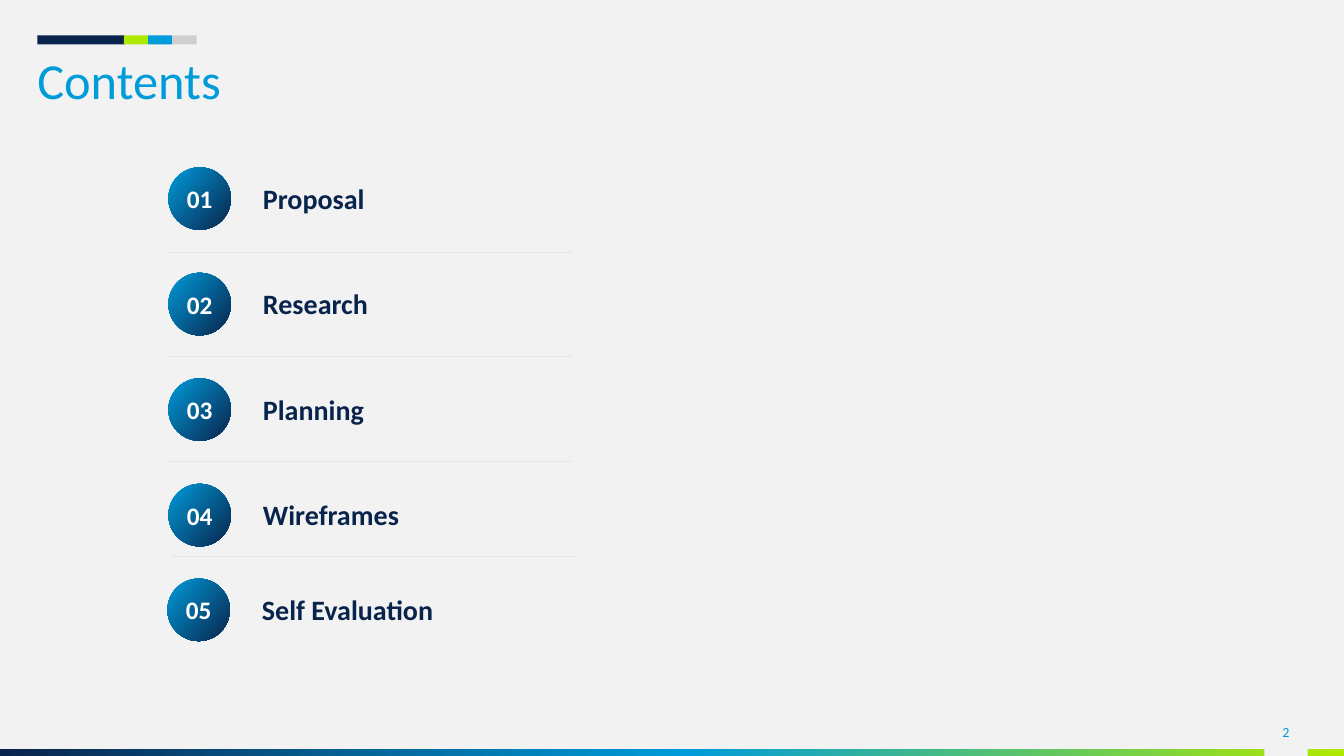
"""Build the contents slide with five numbered sections."""
from lxml.etree import SubElement
from pptx import Presentation
from pptx.dml.color import RGBColor
from pptx.enum.shapes import MSO_CONNECTOR, MSO_SHAPE
from pptx.enum.text import MSO_ANCHOR, PP_ALIGN
from pptx.oxml.ns import qn
from pptx.util import Inches, Pt

COLORS = {
    "navy": "09244C",
    "blue": "009CDA",
    "lime": "B0E900",
    "gray": "D0CECE",
    "rule": "E7E6E6",
    "white": "FFFFFF",
    "paper": "F2F2F2",
}


class ContentsSlide:
    def __init__(self, deck):
        self.font = "Calibri"
        self.page = deck.slides.add_slide(deck.slide_layouts[6])
        background = self.page.background.fill
        background.solid()
        background.fore_color.rgb = self.color("paper")

    def color(self, name):
        return RGBColor.from_string(COLORS[name])

    def shape(self, kind, left, top, width, height):
        shape = self.page.shapes.add_shape(
            kind, Inches(left), Inches(top), Inches(width), Inches(height))
        shape.shadow.inherit = False
        shape.line.fill.background()
        return shape

    def bar(self, left, top, width, height, color):
        bar = self.shape(MSO_SHAPE.RECTANGLE, left, top, width, height)
        bar.fill.solid()
        bar.fill.fore_color.rgb = self.color(color)

    def gradient(self, shape, stops, angle):
        shape.fill.gradient()
        shape.fill.gradient_angle = (360 - angle) % 360
        gradient_fill = shape._element.spPr.find(qn("a:gradFill"))
        stop_list = gradient_fill.find(qn("a:gsLst"))
        for stop in list(stop_list):
            stop_list.remove(stop)
        for position, color in stops:
            stop = SubElement(stop_list, qn("a:gs"), pos=str(position * 1000))
            SubElement(stop, qn("a:srgbClr"), val=COLORS[color])

    def gradient_bar(self, left, top, width, height, stops):
        bar = self.shape(MSO_SHAPE.RECTANGLE, left, top, width, height)
        self.gradient(bar, stops, 0)

    def set_text(self, shape, text, size, color, bold=False,
                 align=PP_ALIGN.LEFT, anchor=MSO_ANCHOR.TOP, inset=True,
                 spacing=1.0):
        frame = shape.text_frame
        frame.text = text
        frame.word_wrap = True
        frame.vertical_anchor = anchor
        if not inset:
            frame.margin_left = frame.margin_right = Inches(0)
            frame.margin_top = frame.margin_bottom = Inches(0)
        paragraph = frame.paragraphs[0]
        paragraph.alignment = align
        paragraph.line_spacing = spacing
        font = paragraph.runs[0].font
        font.name = self.font
        font.size = Pt(size)
        font.bold = bold
        font.color.rgb = self.color(color)

    def label(self, text, left, top, width, height, size, color, **style):
        box = self.page.shapes.add_textbox(
            Inches(left), Inches(top), Inches(width), Inches(height))
        self.set_text(box, text, size, color, **style)

    def badge(self, number, left, top):
        badge = self.shape(MSO_SHAPE.OVAL, left, top, 0.62, 0.62)
        self.gradient(badge, [(0, "blue"), (100, "navy")], 40)
        self.set_text(badge, f"{number:02d}", 18, "white", bold=True,
                      align=PP_ALIGN.CENTER, anchor=MSO_ANCHOR.MIDDLE,
                      inset=False)

    def divider(self, left, top):
        line = self.page.shapes.add_connector(
            MSO_CONNECTOR.STRAIGHT, Inches(left), Inches(top),
            Inches(left + 4), Inches(top))
        line.line.color.rgb = self.color("rule")
        line.line.width = Pt(0.5)
        SubElement(line._element.spPr, qn("a:effectLst"))


def main():
    deck = Presentation()
    deck.slide_width = Inches(13.33)
    deck.slide_height = Inches(7.5)
    slide = ContentsSlide(deck)

    slide.gradient_bar(0, 7.43, 13.33, 0.07,
                       [(0, "navy"), (51, "blue"), (100, "lime")])
    slide.bar(12.54, 6.98, 0.43, 0.52, "paper")
    slide.bar(0.37, 0.35, 0.87, 0.09, "navy")
    for index, color in enumerate(["lime", "blue", "gray"]):
        slide.bar(1.23 + 0.24 * index, 0.35, 0.24, 0.09, color)
    slide.label("Contents", 0.37, 0.56, 12.6, 0.55, 36, "blue",
                inset=False, spacing=0.9)

    sections = ["Proposal", "Research", "Planning", "Wireframes"]
    rows = [(name, 1.67, 1.66 + 3.14 * index / 3)
            for index, name in enumerate(sections)]
    rows.append(("Self Evaluation", 1.66, 5.74))
    for number, (name, left, top) in enumerate(rows, start=1):
        slide.badge(number, left, top)
        slide.label(name, left + 0.84, top + 0.09, 4.53, 0.44, 20, "navy",
                    bold=True)

    for index in range(3):
        slide.divider(1.67, 2.5 + 1.04 * index)
    slide.divider(1.71, 5.52)
    slide.label("2", 12.54, 7.06, 0.43, 0.4, 10, "blue",
                align=PP_ALIGN.CENTER, anchor=MSO_ANCHOR.MIDDLE)
    deck.save("out.pptx")


if __name__ == "__main__":
    main()
